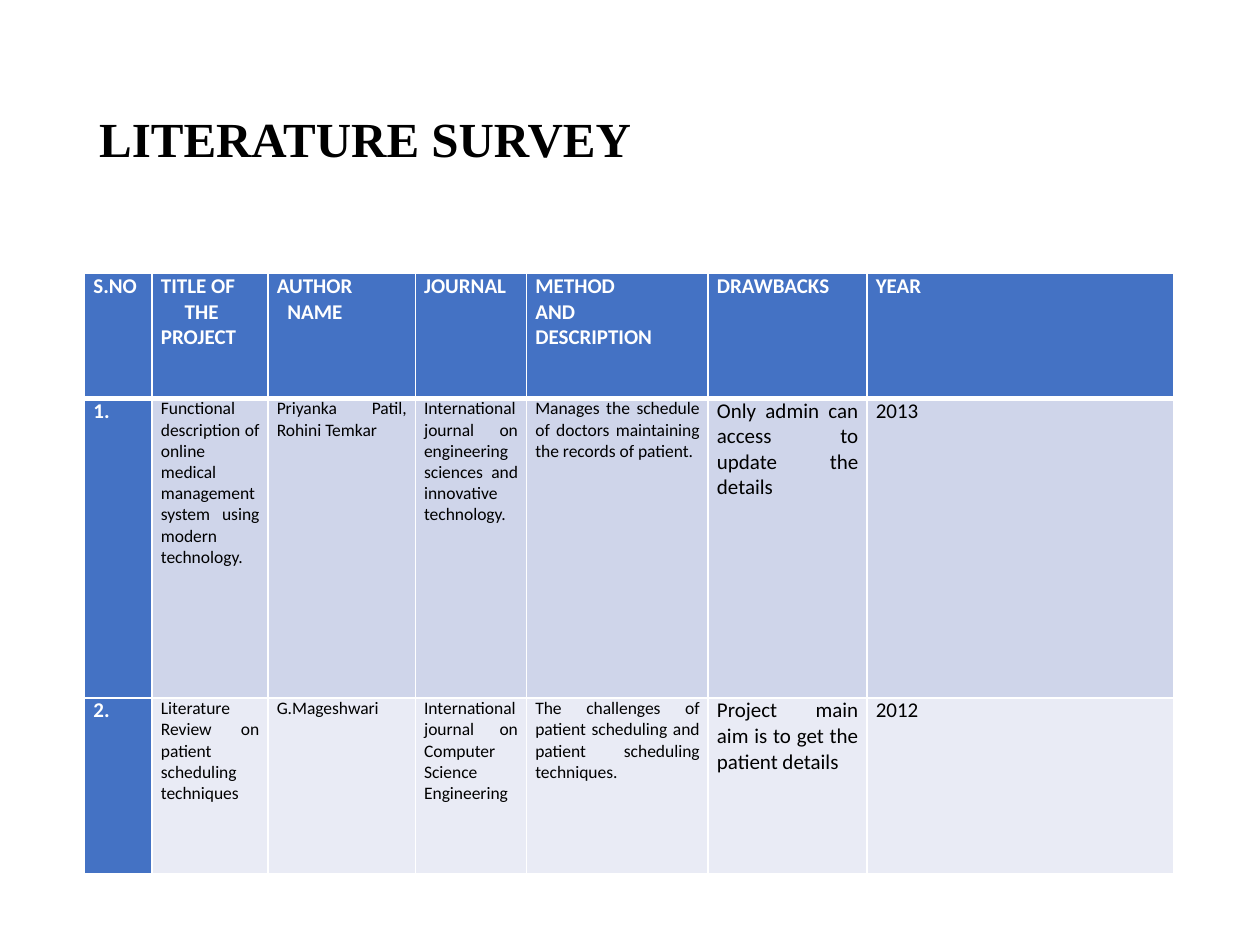
from lxml import etree
from pptx import Presentation
from pptx.dml.color import RGBColor
from pptx.enum import text as t
from pptx.oxml import ns
from pptx.util import Pt

HUES = {"head": "4472C4", "odd": "CFD5EA", "even": "E9EBF5",
        "white": "FFFFFF", "black": "000000"}
COLS = [38.6, 66.2, 84.2, 63.6, 103.8, 90.8, 175]
ROWS = [71.2, 171.3, 100.2]
CELLS = [
    ["S.NO", "TITLE OF\nTHE\nPROJECT", "AUTHOR\nNAME", "JOURNAL",
     "METHOD\nAND\nDESCRIPTION", "DRAWBACKS", "YEAR"],
    ["1.",
     "Functional description of online medical management system using "
     "modern technology.",
     "Priyanka Patil, Rohini Temkar",
     "International journal on engineering sciences and innovative technology.",
     "Manages the schedule of doctors maintaining the records of patient.",
     "Only admin can access to update the details", "2013"],
    ["2.",
     "Literature Review on patient scheduling techniques",
     "G.Mageshwari",
     "International journal on Computer Science Engineering",
     "The challenges of patient scheduling and patient scheduling techniques.",
     "Project main aim is to get the patient details", "2012"],
]
INDENT = {"THE": 13.6, "NAME": 6}


def style(font, hue, **form):
    for key, val in form.items():
        setattr(font, key, val)
    font.color.rgb = RGBColor.from_string(HUES[hue])


def edge(cell, side, width):
    """Draw a white border on one side (L, R, T or B) of a cell."""
    line = etree.SubElement(cell._tc.get_or_add_tcPr(), ns.qn("a:ln" + side),
                            w=str(Pt(width)))
    fill = etree.SubElement(line, ns.qn("a:solidFill"))
    etree.SubElement(fill, ns.qn("a:srgbClr"), val=HUES["white"])


prs = Presentation()
prs.slide_width, prs.slide_height = Pt(720), Pt(540)
slide = prs.slides.add_slide(prs.slide_layouts[5])

title = slide.shapes.title
title.left, title.top, title.width, title.height = Pt(49.5), Pt(28.8), Pt(621), Pt(104.4)
frame = title.text_frame
frame.text = "LITERATURE SURVEY"
frame.auto_size = t.MSO_AUTO_SIZE.NONE
frame.vertical_anchor = t.MSO_ANCHOR.MIDDLE
para = frame.paragraphs[0]
para.alignment = t.PP_ALIGN.LEFT
para.line_spacing = 0.9
style(para.runs[0].font, "black", size=Pt(28), name="Times New Roman", bold=True)

table = slide.shapes.add_table(len(ROWS), len(COLS), Pt(48.4), Pt(156.4),
                               Pt(sum(COLS)), Pt(sum(ROWS))).table
table.first_col = True
for col, width in zip(table.columns, COLS):
    col.width = Pt(width)
for row, height in zip(table.rows, ROWS):
    row.height = Pt(height)

for r, line in enumerate(CELLS):
    for c, words in enumerate(line):
        cell = table.cell(r, c)
        head = r == 0 or c == 0
        cell.margin_left = cell.margin_right = Pt(5)
        cell.margin_top = cell.margin_bottom = 0
        for side in "LRTB":
            thick = (r, side) in [(0, "B"), (1, "T")]
            edge(cell, side, 3 if thick else 1)
        cell.fill.solid()
        band = "head" if head else "odd" if r % 2 else "even"
        cell.fill.fore_color.rgb = RGBColor.from_string(HUES[band])

        cell.text = words
        size = 12 if head or c > 4 else 10
        for para in cell.text_frame.paragraphs:
            para.alignment = t.PP_ALIGN.JUSTIFY
            if para.text in INDENT:
                para._p.get_or_add_pPr().set("indent", str(Pt(INDENT[para.text])))
            style(para.runs[0].font, "white" if head else "black",
                  size=Pt(size), name="Calibri", bold=head)

prs.save("out.pptx")
